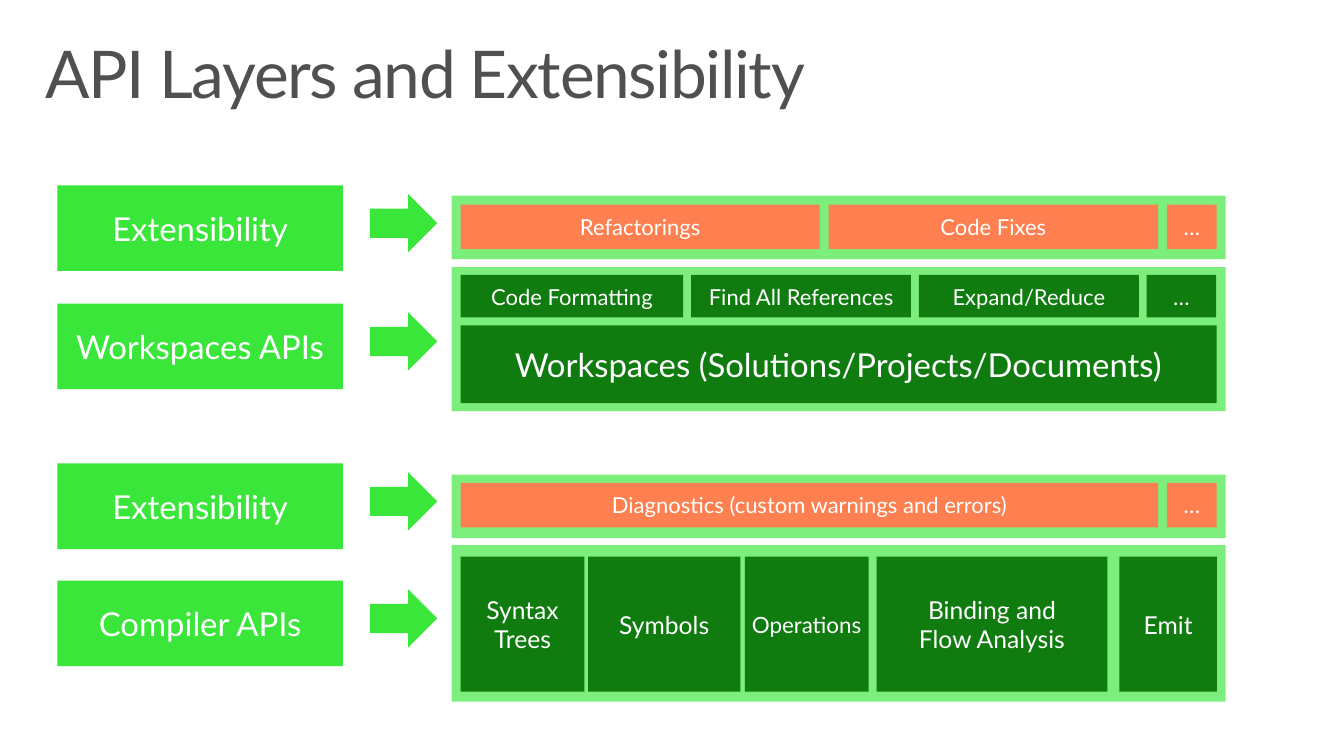
from dataclasses import dataclass

from pptx import Presentation
from pptx.dml.color import RGBColor
from pptx.enum.shapes import MSO_SHAPE
from pptx.enum.text import MSO_ANCHOR, PP_ALIGN
from pptx.util import Cm, Pt

RECTANGLE = MSO_SHAPE.RECTANGLE
RIGHT_ARROW = MSO_SHAPE.RIGHT_ARROW
MIDDLE = MSO_ANCHOR.MIDDLE
CENTER = PP_ALIGN.CENTER

FONT = "Lato"
WHITE = "FFFFFF"
TITLE_GRAY = "505050"
BRIGHT_GREEN = "3AE63A"
LIGHT_GREEN = "7CEE7C"
DARK_GREEN = "107C10"
ORANGE = "FE7F50"

LABEL_LEFT, LABEL_WIDTH, LABEL_HEIGHT = 1.45, 7.19, 2.16
ARROW_LEFT, ARROW_WIDTH, ARROW_HEIGHT, ARROW_DROP = 9.32, 1.7, 1.47, 0.22
PANEL_LEFT, PANEL_WIDTH = 11.38, 19.51
ROW_LEFT = 11.61


@dataclass(frozen=True)
class Cell:
    text: str
    width: float
    gap: float = 0.2
    size: float | None = None
    wrap: bool = True


@dataclass(frozen=True)
class Row:
    top: float
    height: float
    color: str
    size: float
    cells: tuple[Cell, ...]


@dataclass(frozen=True)
class Layer:
    label: str
    label_top: float
    panel_top: float
    panel_height: float
    rows: tuple[Row, ...]


LAYERS = (
    Layer("Extensibility", 4.67, 4.93, 1.6, (
        Row(5.16, 1.12, ORANGE, 15.7, (
            Cell("Refactorings", 9.05),
            Cell("Code Fixes", 8.31, 0.22),
            Cell("…", 1.25, 0.22),
        )),
    )),
    Layer("Workspaces APIs", 7.65, 6.73, 3.63, (
        Row(6.93, 1.07, DARK_GREEN, 15.7, (
            Cell("Code Formatting", 5.61),
            Cell("Find All References", 5.54),
            Cell("Expand/Reduce", 5.54),
            Cell("…", 1.75),
        )),
        Row(8.2, 1.96, DARK_GREEN, 23.5, (
            Cell("Workspaces (Solutions/Projects/Documents)", 19.05),
        )),
    )),
    Layer("Extensibility", 11.68, 11.96, 1.6, (
        Row(12.17, 1.12, ORANGE, 15.7, (
            Cell("Diagnostics (custom warnings and errors)", 17.58),
            Cell("…", 1.25, 0.22),
        )),
    )),
    Layer("Compiler APIs", 14.63, 13.74, 3.94, (
        Row(14.03, 3.4, DARK_GREEN, 17.6, (
            Cell("Syntax Trees", 3.12),
            Cell("Symbols", 3.84, 0.09),
            Cell("Operations", 3.12, 0.11, 16, False),
            Cell("Binding and\nFlow Analysis", 5.82),
            Cell("Emit", 2.46, 0.3),
        )),
    )),
)


def rgb(color: str) -> RGBColor:
    return RGBColor.from_string(color)


def set_margins(frame, horizontal: float, vertical: float) -> None:
    frame.margin_left = frame.margin_right = Cm(horizontal)
    frame.margin_top = frame.margin_bottom = Cm(vertical)


def add_run(paragraph, text: str, size: float, color: str):
    run = paragraph.add_run()
    run.text = text
    run.font.name = FONT
    run.font.size = Pt(size)
    run.font.color.rgb = rgb(color)
    return run


def add_block(slide, kind, left: float, top: float, width: float, height: float, color: str):
    shape = slide.shapes.add_shape(kind, Cm(left), Cm(top), Cm(width), Cm(height))
    shape.shadow.inherit = False
    shape.fill.solid()
    shape.fill.fore_color.rgb = rgb(color)
    shape.line.fill.background()
    return shape


def write_centered(shape, text: str, size: float, horizontal: float, vertical: float,
                   wrap: bool = True) -> None:
    frame = shape.text_frame
    frame.word_wrap = wrap
    frame.vertical_anchor = MIDDLE
    set_margins(frame, horizontal, vertical)
    paragraph = frame.paragraphs[0]
    paragraph.alignment = CENTER
    for index, line in enumerate(text.split("\n")):
        if index:
            paragraph.add_line_break()
        add_run(paragraph, line, size, WHITE)


def add_title(slide, text: str) -> None:
    frame = slide.shapes.add_textbox(Cm(0.74), Cm(0.81), Cm(32.39), Cm(2.49)).text_frame
    frame.word_wrap = True
    set_margins(frame, 0.41, 0.25)
    paragraph = frame.paragraphs[0]
    paragraph.line_spacing = 0.9
    run = add_run(paragraph, text, 47, TITLE_GRAY)
    run._r.get_or_add_rPr().set("spc", "-100")


def add_row(slide, row: Row) -> None:
    left = ROW_LEFT
    for index, cell in enumerate(row.cells):
        if index:
            left += cell.gap
        shape = add_block(slide, RECTANGLE, left, row.top, cell.width, row.height, row.color)
        write_centered(shape, cell.text, cell.size or row.size, 0.25, 0.13, cell.wrap)
        left += cell.width


def add_layer(slide, layer: Layer) -> None:
    add_block(slide, RECTANGLE, PANEL_LEFT, layer.panel_top, PANEL_WIDTH,
              layer.panel_height, LIGHT_GREEN)
    add_block(slide, RIGHT_ARROW, ARROW_LEFT, layer.label_top + ARROW_DROP,
              ARROW_WIDTH, ARROW_HEIGHT, BRIGHT_GREEN)
    label = add_block(slide, RECTANGLE, LABEL_LEFT, layer.label_top,
                      LABEL_WIDTH, LABEL_HEIGHT, BRIGHT_GREEN)
    write_centered(label, layer.label, 23.5, 0.33, 0.18)
    for row in layer.rows:
        add_row(slide, row)


def main() -> None:
    presentation = Presentation()
    presentation.slide_width = Cm(33.87)
    presentation.slide_height = Cm(19.05)
    slide = presentation.slides.add_slide(presentation.slide_layouts[6])
    add_title(slide, "API Layers and Extensibility")
    for layer in LAYERS:
        add_layer(slide, layer)
    presentation.save("out.pptx")


if __name__ == "__main__":
    main()
